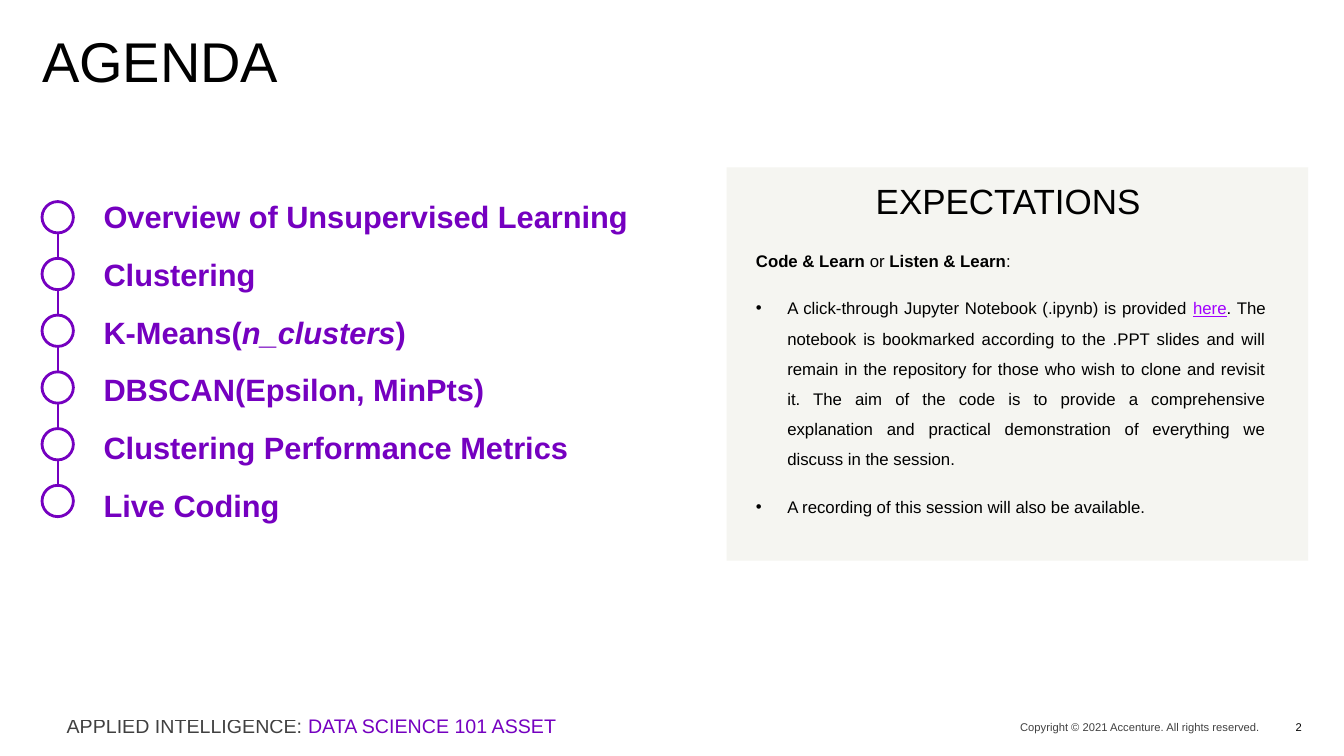
from dataclasses import dataclass

from lxml.etree import SubElement
from pptx import Presentation
from pptx.dml.color import RGBColor
from pptx.enum.shapes import MSO_CONNECTOR, MSO_SHAPE
from pptx.enum.text import MSO_ANCHOR, MSO_AUTO_SIZE, PP_ALIGN
from pptx.oxml.ns import qn
from pptx.util import Cm, Pt


@dataclass(frozen=True)
class Theme:
    font: str = "Arial"
    black: str = "000000"
    white: str = "FFFFFF"
    purple: str = "7500C0"
    violet: str = "A100FF"
    sand: str = "E6E6DC"
    title: int = 40
    heading: int = 25
    topic: int = 22
    banner: int = 14
    body: int = 12
    small: int = 8


THEME = Theme()
BOLD = {"bold": True}
TOPICS = [
    ["Overview of Unsupervised Learning"],
    ["Clustering"],
    ["K-Means(", ("n_clusters", {"italic": True}), ")"],
    ["DBSCAN(Epsilon, MinPts)"],
    ["Clustering Performance Metrics"],
    ["Live Coding"],
]
INTRO = [("Code & Learn", BOLD), " or ", ("Listen & Learn", BOLD), ":"]
EXPECTATIONS = [
    [
        "A click-through Jupyter Notebook (.ipynb) is provided ",
        ("here", {"color": THEME.violet, "underline": True}),
        ". The notebook is bookmarked according to the .PPT slides and will remain "
        "in the repository for those who wish to clone and revisit it. The aim of "
        "the code is to provide a comprehensive explanation and practical "
        "demonstration of everything we discuss in the session.",
    ],
    ["A recording of this session will also be available."],
]
NODE_LEFT, NODE_TOP, NODE_SIZE, NODE_PITCH = 1.06, 5.08, 0.79, 1.43


def set_opacity(element, percent):
    for color in element.iter(qn("a:srgbClr")):
        SubElement(color, qn("a:alpha"), val=str(percent * 1000))


def set_bullet(paragraph, bullet, indent):
    properties = paragraph._p.get_or_add_pPr()
    properties.set("marL", str(Cm(indent)))
    properties.set("indent", str(-Cm(indent)))
    if bullet:
        SubElement(properties, qn("a:buChar"), char=bullet)
    else:
        SubElement(properties, qn("a:buNone"))


def write(frame, parts, size, color=THEME.black, bold=False, align=PP_ALIGN.LEFT,
          spacing=1.0, after=0, bullet=None, indent=0, opacity=100):
    paragraph = frame.paragraphs[0]
    if paragraph.runs:
        paragraph = frame.add_paragraph()
    set_bullet(paragraph, bullet, indent)
    paragraph.alignment = align
    paragraph.line_spacing = spacing
    paragraph.space_before = Pt(0)
    paragraph.space_after = Pt(after)
    for part in parts:
        words, changes = (part, {}) if isinstance(part, str) else part
        run = paragraph.add_run()
        run.text = words
        run.font.name = THEME.font
        run.font.size = Pt(size)
        run.font.bold = changes.get("bold", bold)
        run.font.italic = changes.get("italic", False)
        run.font.underline = changes.get("underline", False)
        run.font.color.rgb = RGBColor.from_string(changes.get("color", color))
        if opacity < 100 and "color" not in changes:
            set_opacity(run._r, opacity)


def prepare_frame(holder, anchor=MSO_ANCHOR.TOP):
    frame = holder.text_frame
    frame.margin_left = frame.margin_right = frame.margin_top = frame.margin_bottom = 0
    frame.auto_size = MSO_AUTO_SIZE.NONE
    frame.vertical_anchor = anchor
    frame.word_wrap = True
    return frame


def place(placeholder, left, top, width, height):
    placeholder.left, placeholder.top = Cm(left), Cm(top)
    placeholder.width, placeholder.height = Cm(width), Cm(height)
    return prepare_frame(placeholder)


def add_label(slide, left, top, width, height, anchor=MSO_ANCHOR.MIDDLE):
    label = slide.shapes.add_textbox(Cm(left), Cm(top), Cm(width), Cm(height))
    return prepare_frame(label, anchor)


def add_figure(slide, kind, left, top, width, height, fill, outline=None):
    figure = slide.shapes.add_shape(kind, Cm(left), Cm(top), Cm(width), Cm(height))
    figure.shadow.inherit = False
    figure.fill.solid()
    figure.fill.fore_color.rgb = RGBColor.from_string(fill)
    if outline:
        figure.line.color.rgb = RGBColor.from_string(outline)
        figure.line.width = Pt(2)
    else:
        figure.line.fill.background()
    return figure


def add_timeline(slide, count):
    middle = Cm(NODE_LEFT + NODE_SIZE / 2)
    bottom = NODE_TOP + NODE_PITCH * (count - 1) + NODE_SIZE
    stem = slide.shapes.add_connector(
        MSO_CONNECTOR.STRAIGHT, middle, Cm(NODE_TOP + NODE_SIZE), middle, Cm(bottom))
    stem.line.color.rgb = RGBColor.from_string(THEME.purple)
    stem.line.width = Pt(1.25)
    SubElement(stem._element.spPr, qn("a:effectLst"))
    for index in range(count):
        add_figure(slide, MSO_SHAPE.OVAL, NODE_LEFT, NODE_TOP + NODE_PITCH * index,
                   NODE_SIZE, NODE_SIZE, THEME.white, THEME.purple)


def add_footer(slide):
    banner = add_label(slide, 1.68, 17.89, 14.27, 0.81)
    write(banner, ["APPLIED INTELLIGENCE: ",
                   ("DATA SCIENCE 101 ASSET", {"color": THEME.purple})],
          THEME.banner, opacity=75)
    rights = add_label(slide, 20.32, 18.03, 11.43, 0.56)
    write(rights, ["Copyright © 2021 Accenture. All rights reserved."],
          THEME.small, align=PP_ALIGN.RIGHT, opacity=75)
    number = add_label(slide, 31.9, 18.03, 0.91, 0.56)
    write(number, ["2"], THEME.small, align=PP_ALIGN.RIGHT)


def add_expectations(slide, body):
    heading = add_label(slide, 22.07, 4.72, 7.16, 1.19, MSO_ANCHOR.TOP)
    write(heading, ["EXPECTATIONS"], THEME.heading, spacing=0.8)
    details = place(body, 19.05, 6.07, 12.85, 6.91)
    layout = {"align": PP_ALIGN.JUSTIFY, "spacing": 1.5, "after": 12}
    write(details, INTRO, THEME.body, **layout)
    for expectation in EXPECTATIONS:
        write(details, expectation, THEME.body, bullet="•", indent=0.79, **layout)


def main():
    deck = Presentation()
    deck.slide_width, deck.slide_height = Cm(33.87), Cm(19.05)
    slide = deck.slides.add_slide(deck.slide_layouts[3])
    title, agenda, expectations = slide.placeholders

    panel = add_figure(slide, MSO_SHAPE.RECTANGLE, 18.31, 4.22, 14.66, 9.91, THEME.sand)
    set_opacity(panel._element.spPr, 40)
    slide.shapes._spTree.insert(2, panel._element)

    write(place(title, 1.06, 0.99, 31.75, 2.74), ["AGENDA"], THEME.title, spacing=0.8)
    topics = place(agenda, 2.61, 4.52, 15.2, 8.7)
    for topic in TOPICS:
        write(topics, topic, THEME.topic, THEME.purple, bold=True, spacing=1.5, after=1.7)
    add_timeline(slide, len(TOPICS))
    add_expectations(slide, expectations)
    add_footer(slide)
    deck.save("out.pptx")


if __name__ == "__main__":
    main()
